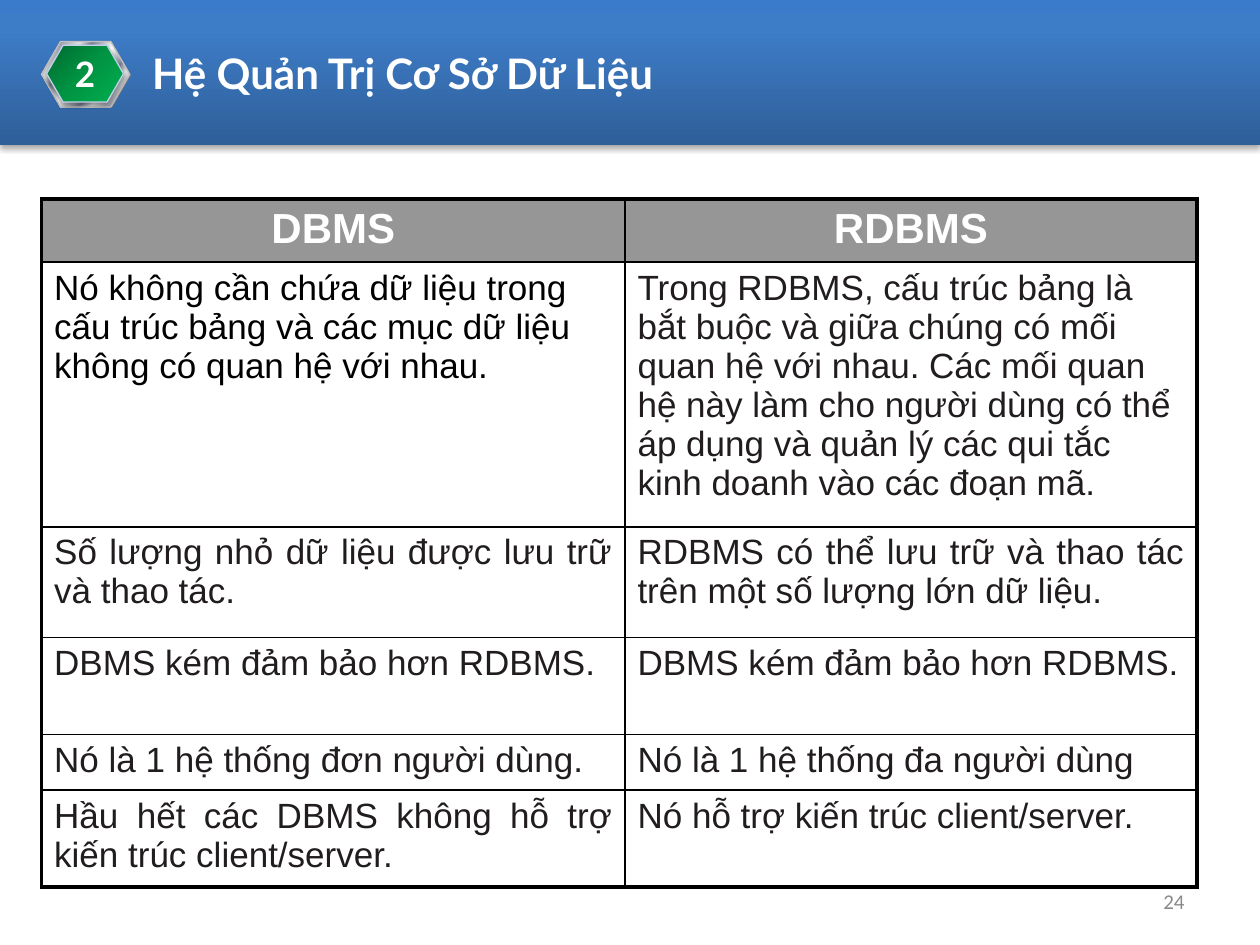
from typing import NamedTuple, Optional

from lxml import etree
from pptx import Presentation
from pptx import util as u
from pptx.dml.color import RGBColor
from pptx.enum import shapes, text
from pptx.oxml import ns

GRID_COLUMNS, GRID_ROWS = 100, 75
CELL = u.Inches(0.1)

BLACK = RGBColor(0x00, 0x00, 0x00)
WHITE = RGBColor(0xFF, 0xFF, 0xFF)
INK = RGBColor(0x21, 0x1D, 0x1E)
HEADER_GRAY = RGBColor(0x96, 0x96, 0x96)
NUMBER_GRAY = RGBColor(0x89, 0x89, 0x89)
BADGE_GRAY = RGBColor(0x80, 0x80, 0x80)
SILVER = RGBColor(0xC0, 0xC0, 0xC0)
PALE_BLUE = RGBColor(0xC2, 0xD1, 0xED)
LIGHT = RGBColor(0xE6, 0xE6, 0xE6)
STEEL = RGBColor(0x7D, 0x84, 0x96)

LEFT, CENTER, RIGHT, JUSTIFY = (
    text.PP_ALIGN.LEFT, text.PP_ALIGN.CENTER, text.PP_ALIGN.RIGHT, text.PP_ALIGN.JUSTIFY)
MIDDLE = text.MSO_ANCHOR.MIDDLE


class Box(NamedTuple):
    """Left, top, width and height in grid cells."""
    left: float
    top: float
    width: float
    height: float

    def lengths(self) -> list[int]:
        return [round(value * CELL) for value in self]


class Gradient(NamedTuple):
    angle: int
    stops: list[tuple[int, RGBColor]]


class Shadow(NamedTuple):
    opacity: int
    blur: float
    distance: float


class Style(NamedTuple):
    font: str
    size: int
    color: RGBColor
    bold: bool = False
    align: text.PP_ALIGN = LEFT


class Panel(NamedTuple):
    box: Box
    kind: shapes.MSO_SHAPE
    fill: RGBColor | Gradient
    line: Optional[RGBColor] = None
    shadow: Optional[Shadow] = None


class Entry(NamedTuple):
    words: str
    align: text.PP_ALIGN = JUSTIFY
    color: RGBColor = INK


RECTANGLE, HEXAGON = shapes.MSO_SHAPE.RECTANGLE, shapes.MSO_SHAPE.HEXAGON
BAND = Panel(
    Box(0, 0, GRID_COLUMNS, 11.5), RECTANGLE,
    Gradient(270, [(0, RGBColor(0x2F, 0x5F, 0x99)), (80, RGBColor(0x3D, 0x7C, 0xC7)),
                   (100, RGBColor(0x3A, 0x7C, 0xCB))]),
    shadow=Shadow(35, 3.1, 1.8))
BADGE_BACK = Panel(Box(3.4, 3.4, 7, 5.1), HEXAGON, BADGE_GRAY)
BADGE_RIM = Panel(
    Box(3.3, 3.3, 7, 5.2), HEXAGON,
    Gradient(45, [(0, LIGHT), (8, STEEL), (26, LIGHT), (34, STEEL), (46, LIGHT), (50, WHITE),
                  (54, LIGHT), (66, STEEL), (74, LIGHT), (92, STEEL), (100, LIGHT)]),
    line=SILVER)
BADGE_FACE = Panel(
    Box(3.7, 3.6, 6.1, 4.5), HEXAGON,
    Gradient(45, [(0, RGBColor(0x00, 0x68, 0x2F)), (50, RGBColor(0x00, 0x94, 0x43)),
                  (100, RGBColor(0x00, 0xB0, 0x50))]),
    line=PALE_BLUE, shadow=Shadow(38, 3.1, 1.6))

TABLE_LEFT, TABLE_TOP = 3.3, 15.8
COLUMN_WIDTHS = [46.3, 45.4]
ROW_HEIGHTS = [4.9, 21, 8.8, 7.7, 4.4, 7.7]
HEADINGS = ["DBMS", "RDBMS"]
COMPARISON = [
    (Entry("Nó không cần chứa dữ liệu trong cấu trúc bảng và các mục dữ liệu "
           "không có quan hệ với nhau.", LEFT, BLACK),
     Entry("Trong RDBMS, cấu trúc bảng là bắt buộc và giữa chúng có mối quan hệ với nhau. "
           "Các mối quan hệ này làm cho người dùng có thể áp dụng và quản lý các qui tắc "
           "kinh doanh vào các đoạn mã.", LEFT)),
    (Entry("Số lượng nhỏ dữ liệu được lưu trữ và thao tác."),
     Entry("RDBMS có thể lưu trữ và thao tác trên một số lượng lớn dữ liệu.")),
    (Entry("DBMS kém đảm bảo hơn RDBMS."), Entry("DBMS kém đảm bảo hơn RDBMS.", LEFT)),
    (Entry("Nó là 1 hệ thống đơn người dùng."), Entry("Nó là 1 hệ thống đa người dùng")),
    (Entry("Hầu hết các DBMS không hỗ trợ kiến trúc client/server."),
     Entry("Nó hỗ trợ kiến trúc client/server.")),
]


def add_color(parent, color: RGBColor):
    return etree.SubElement(parent, ns.qn("a:srgbClr"), val=str(color))


def write(frame, words: str, style: Style) -> None:
    frame.text = words
    para = frame.paragraphs[0]
    para.alignment = style.align
    span = para.runs[0]
    span.font.name, span.font.size = style.font, u.Pt(style.size)
    span.font.bold, span.font.color.rgb = style.bold, style.color


def paint_gradient(shape, gradient: Gradient) -> None:
    """Swap the shape's solid fill for a gradient with any number of stops."""
    solid = shape._element.spPr.find(ns.qn("a:solidFill"))
    fill = etree.Element(ns.qn("a:gradFill"), rotWithShape="1")
    stops = etree.SubElement(fill, ns.qn("a:gsLst"))
    for position, color in gradient.stops:
        add_color(etree.SubElement(stops, ns.qn("a:gs"), pos=str(position * 1000)), color)
    etree.SubElement(fill, ns.qn("a:lin"), ang=str(gradient.angle * 60000), scaled="0")
    solid.getparent().replace(solid, fill)


def cast_shadow(shape, shadow: Shadow) -> None:
    effects = shape._element.spPr.find(ns.qn("a:effectLst"))
    outer = etree.SubElement(
        effects, ns.qn("a:outerShdw"), blurRad=str(u.Pt(shadow.blur)),
        dist=str(u.Pt(shadow.distance)), dir=str(90 * 60000), rotWithShape="0")
    etree.SubElement(add_color(outer, BLACK), ns.qn("a:alpha"), val=str(shadow.opacity * 1000))


def draw_panel(page, panel: Panel):
    shape = page.shapes.add_shape(panel.kind, *panel.box.lengths())
    if panel.kind == HEXAGON:
        shape.adjustments[0] = 0.289
    shape.shadow.inherit = False
    shape.fill.solid()
    if isinstance(panel.fill, Gradient):
        paint_gradient(shape, panel.fill)
    else:
        shape.fill.fore_color.rgb = panel.fill
    if panel.line is None:
        shape.line.fill.background()
    else:
        shape.line.color.rgb = panel.line
        shape.line.width = u.Pt(0.75)
    if panel.shadow:
        cast_shadow(shape, panel.shadow)
    return shape


def draw_label(page, box: Box, words: str, style: Style, anchor=text.MSO_ANCHOR.TOP) -> None:
    frame = page.shapes.add_textbox(*box.lengths()).text_frame
    frame.word_wrap = True
    frame.vertical_anchor = anchor
    write(frame, words, style)


def rule_cell(cell, outer_sides: dict[str, bool]) -> None:
    """Border a cell: thick on the table's outer sides, thin elsewhere."""
    properties = cell._tc.get_or_add_tcPr()
    for index, (side, outer) in enumerate(outer_sides.items()):
        line = etree.Element(ns.qn(f"a:ln{side}"), w=str(u.Pt(2.25 if outer else 1)))
        add_color(etree.SubElement(line, ns.qn("a:solidFill")), BLACK)
        properties.insert(index, line)


def draw_table(page) -> None:
    box = Box(TABLE_LEFT, TABLE_TOP, sum(COLUMN_WIDTHS), sum(ROW_HEIGHTS))
    last_row, last_column = len(ROW_HEIGHTS) - 1, len(COLUMN_WIDTHS) - 1
    table = page.shapes.add_table(last_row + 1, last_column + 1, *box.lengths()).table
    for column, width in zip(table.columns, COLUMN_WIDTHS):
        column.width = round(width * CELL)
    for row, height in zip(table.rows, ROW_HEIGHTS):
        row.height = round(height * CELL)
    header = [Entry(heading, CENTER, WHITE) for heading in HEADINGS]
    for i, entries in enumerate([header, *COMPARISON]):
        for j, entry in enumerate(entries):
            cell, heading = table.cell(i, j), i == 0
            cell.fill.solid()
            cell.fill.fore_color.rgb = HEADER_GRAY if heading else WHITE
            rule_cell(cell, {"L": j == 0, "R": j == last_column, "T": i == 0, "B": i == last_row})
            size = 24 if heading else 20
            write(cell.text_frame, entry.words,
                  Style("Arial", size, entry.color, heading, entry.align))


def main() -> None:
    deck = Presentation()
    deck.slide_width, deck.slide_height = GRID_COLUMNS * CELL, GRID_ROWS * CELL
    page = deck.slides.add_slide(deck.slide_layouts[6])
    draw_label(page, Box(71.7, 69.5, 23.3, 4), "24",
               Style("Calibri", 12, NUMBER_GRAY, align=RIGHT), MIDDLE)
    draw_panel(page, BAND)
    draw_label(page, Box(11.1, 3.3, 88.9, 5), "Hệ Quản Trị Cơ Sở Dữ Liệu",
               Style("Lato", 24, WHITE, True))
    draw_panel(page, BADGE_BACK)
    draw_panel(page, BADGE_RIM)
    badge = draw_panel(page, BADGE_FACE).text_frame
    badge.word_wrap = False
    badge.vertical_anchor = MIDDLE
    write(badge, "2", Style("Lato", 20, WHITE, True, CENTER))
    draw_table(page)
    deck.save("out.pptx")


if __name__ == "__main__":
    main()
